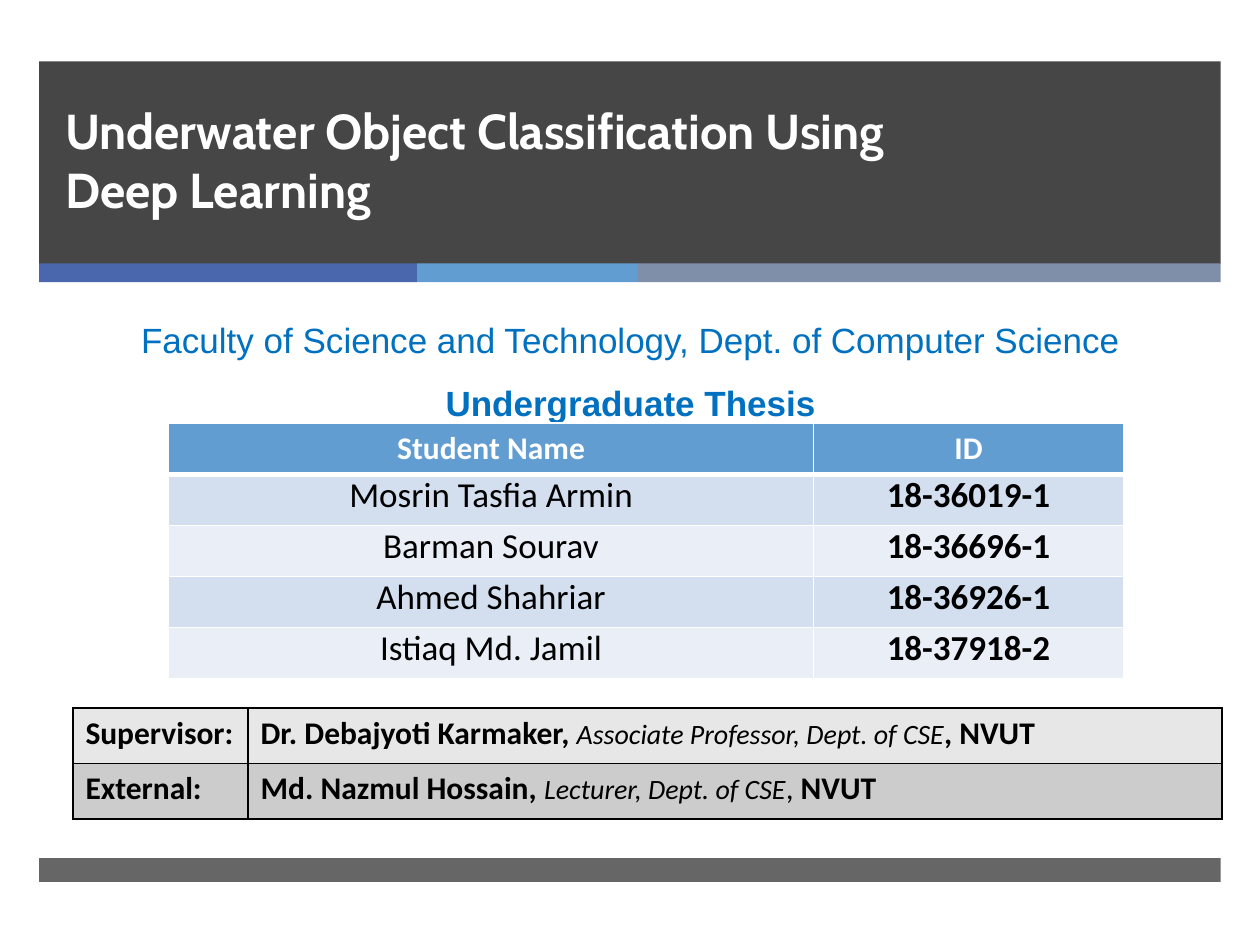
"""Build the title slide of an undergraduate thesis defence."""
import pptx
import pptx.dml.color
import pptx.enum.shapes
import pptx.enum.text
import pptx.oxml
import pptx.oxml.ns
import pptx.util

Cm = pptx.util.Cm
Pt = pptx.util.Pt
RGBColor = pptx.dml.color.RGBColor
ALIGN = pptx.enum.text.PP_ALIGN
ANCHOR = pptx.enum.text.MSO_ANCHOR
NS = pptx.oxml.ns.nsdecls("a")

WHITE = RGBColor(0xFF, 0xFF, 0xFF)
BLACK = RGBColor(0, 0, 0)
DARK = RGBColor(0x26, 0x26, 0x26)
INDIGO = RGBColor(0x4A, 0x66, 0xAC)
SKY = RGBColor(0x62, 0x9D, 0xD1)
SLATE = RGBColor(0x7F, 0x8F, 0xA9)
BLUE = RGBColor(0x00, 0x70, 0xC0)
PALE = RGBColor(0xD3, 0xDF, 0xEE)
MIST = RGBColor(0xEA, 0xEF, 0xF7)
LIGHT = RGBColor(0xE7, 0xE7, 0xE7)
GREY = RGBColor(0xCC, 0xCC, 0xCC)


class Page:
    """Hold the text style and the current slide."""

    def __init__(self, deck):
        self.slide = deck.slides.add_slide(deck.slide_layouts[6])
        self.style = {"name": "Calibri", "size": Pt(18), "bold": True, "italic": False}

    def band(self, box, color, alpha=100):
        kind = pptx.enum.shapes.MSO_SHAPE.RECTANGLE
        shape = self.slide.shapes.add_shape(kind, *map(Cm, box))
        shape.shadow.inherit = False
        shape.line.fill.background()
        shape.fill.solid()
        shape.fill.fore_color.rgb = color
        if alpha < 100:
            tint = shape.element.spPr.find(".//" + pptx.oxml.ns.qn("a:srgbClr"))
            tint.append(pptx.oxml.parse_xml(f'<a:alpha {NS} val="{alpha * 1000}"/>'))

    def words(self, para, runs, color, form=None):
        for key, value in (form or {}).items():
            setattr(para, key, value)
        for text, look in runs:
            run = para.add_run()
            run.text = text
            for key, value in {**self.style, **look}.items():
                setattr(run.font, key, value)
            run.font.color.rgb = color

    def text(self, box, paras, color, anchor=ANCHOR.TOP):
        frame = self.slide.shapes.add_textbox(*map(Cm, box)).text_frame
        frame.word_wrap = True
        frame.vertical_anchor = anchor
        for index, (runs, form) in enumerate(paras):
            para = frame.add_paragraph() if index else frame.paragraphs[0]
            self.words(para, runs, color, form)

    def table(self, spot, cols, high, count):
        size = (sum(cols), high * count)
        grid = self.slide.shapes.add_table(count, len(cols), *map(Cm, spot + size)).table
        grid.first_row = grid.horz_banding = False
        for col, width in zip(grid.columns, cols):
            col.width = Cm(width)
        return grid

    def cell(self, cell, runs, fill, ink, edge, form=None, wide=None, inset=None):
        for side in "LRTB":
            width = Pt((wide or {}).get(side, 1))
            cell._tc.get_or_add_tcPr().append(pptx.oxml.parse_xml(
                f'<a:ln{side} {NS} w="{width}"><a:solidFill>'
                f'<a:srgbClr val="{edge}"/></a:solidFill></a:ln{side}>'))
        cell.fill.solid()
        cell.fill.fore_color.rgb = fill
        for key, value in (inset or {}).items():
            setattr(cell, key, value)
        self.words(cell.text_frame.paragraphs[0], runs, ink, form)


def main():
    deck = pptx.Presentation()
    deck.slide_width, deck.slide_height = Cm(25.4), Cm(19.05)
    page = Page(deck)

    left, full = 0.79, 23.82
    page.band((left, 1.24, full, 4.08), DARK, 85)
    start = left
    for width, color in ((7.62, INDIGO), (4.45, SKY), (11.75, SLATE)):
        page.band((start, 5.31, width, 0.38), color)
        start += width
    page.band((left, 17.3, full, 0.48), DARK, 70)

    head = {"name": "Cabin", "size": Pt(28)}
    page.text((1.07, 1.57, 18.92, 2.95),
              [([("Underwater Object Classification Using Deep Learning", head)], {})],
              WHITE, ANCHOR.BOTTOM)

    bold = {"name": "Arial", "size": Pt(20)}
    mid = {"alignment": ALIGN.CENTER}
    page.text((0.18, 6.3, 25.07, 2.24), [
        ([("Faculty of Science and Technology, Dept. of Computer Science",
           {**bold, "bold": False})], mid),
        ([("Undergraduate Thesis", bold)], {**mid, "line_spacing": 1.5}),
    ], BLUE)

    team = [
        ("Student Name", "ID"),
        ("Mosrin Tasfia Armin", "18-36019-1"),
        ("Barman Sourav", "18-36696-1"),
        ("Ahmed Shahriar", "18-36926-1"),
        ("Istiaq Md. Jamil", "18-37918-2"),
    ]
    loose = {**mid, "space_before": Pt(3), "space_after": Pt(3)}
    inset = {"margin_left": Cm(0.18), "margin_right": Cm(0.18),
             "margin_top": 0, "margin_bottom": 0}
    grid = page.table((3.4, 8.53), (13, 6.25), 1.03, len(team))
    for row, names in enumerate(team):
        for col, name in enumerate(names):
            cell = grid.cell(row, col)
            if row == 0:
                page.cell(cell, [(name, {})], SKY, WHITE, WHITE, mid, {"B": 3})
            else:
                look = {"size": Pt(20), "bold": col == 1}
                page.cell(cell, [(name, look)], PALE if row % 2 else MIST, BLACK, WHITE,
                          loose, {"T": 3} if row == 1 else None, inset)

    role = {"size": Pt(16), "bold": False, "italic": True}
    staff = [
        ("Supervisor:", "Dr. Debajyoti Karmaker, ", "Associate Professor, Dept. of CSE",
         [(", NVUT", {})], LIGHT),
        ("External:", "Md. Nazmul Hossain, ", "Lecturer, Dept. of CSE",
         [(", ", {"bold": False}), ("NVUT", {})], GREY),
    ]
    grid = page.table((1.47, 14.27), (3.53, 19.63), 1.12, len(staff))
    for row, (duty, name, post, tail, fill) in enumerate(staff):
        page.cell(grid.cell(row, 0), [(duty, {})], fill, BLACK, BLACK)
        page.cell(grid.cell(row, 1), [(name, {}), (post, role), *tail], fill, BLACK, BLACK)

    deck.save("out.pptx")


if __name__ == "__main__":
    main()
